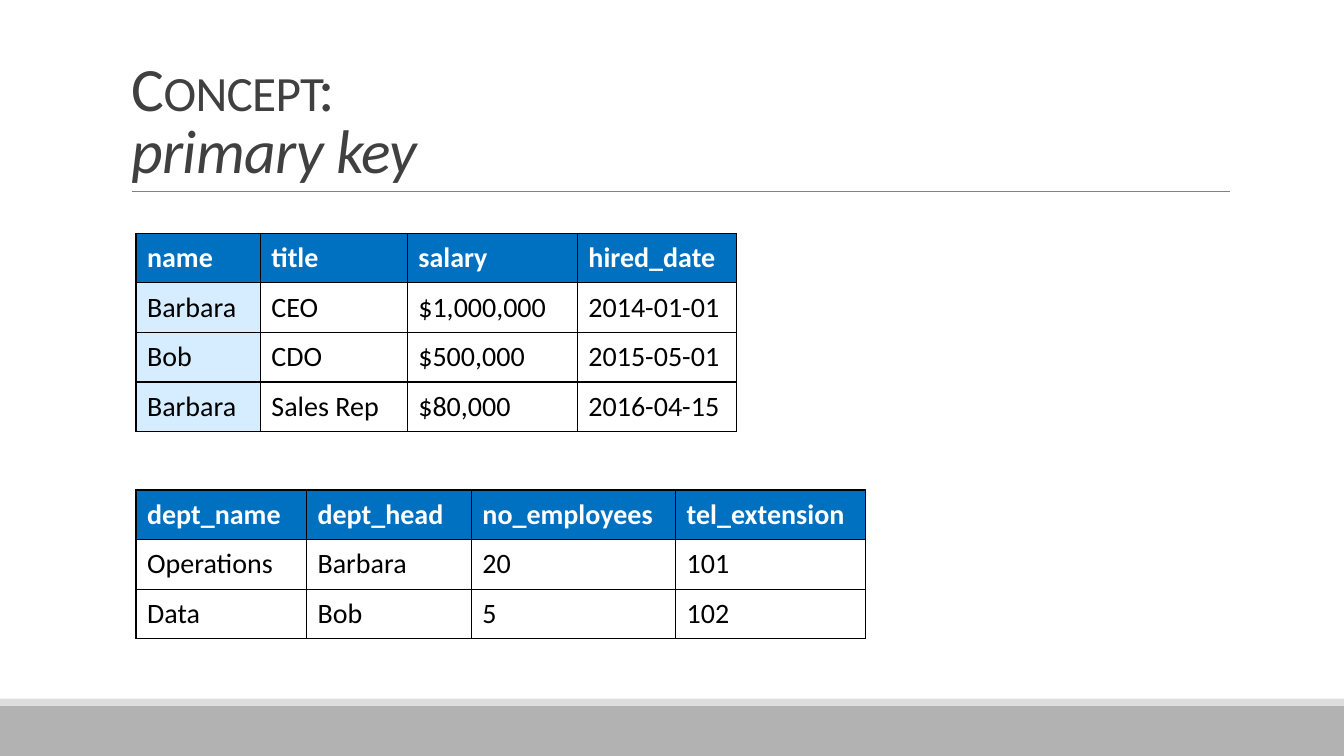
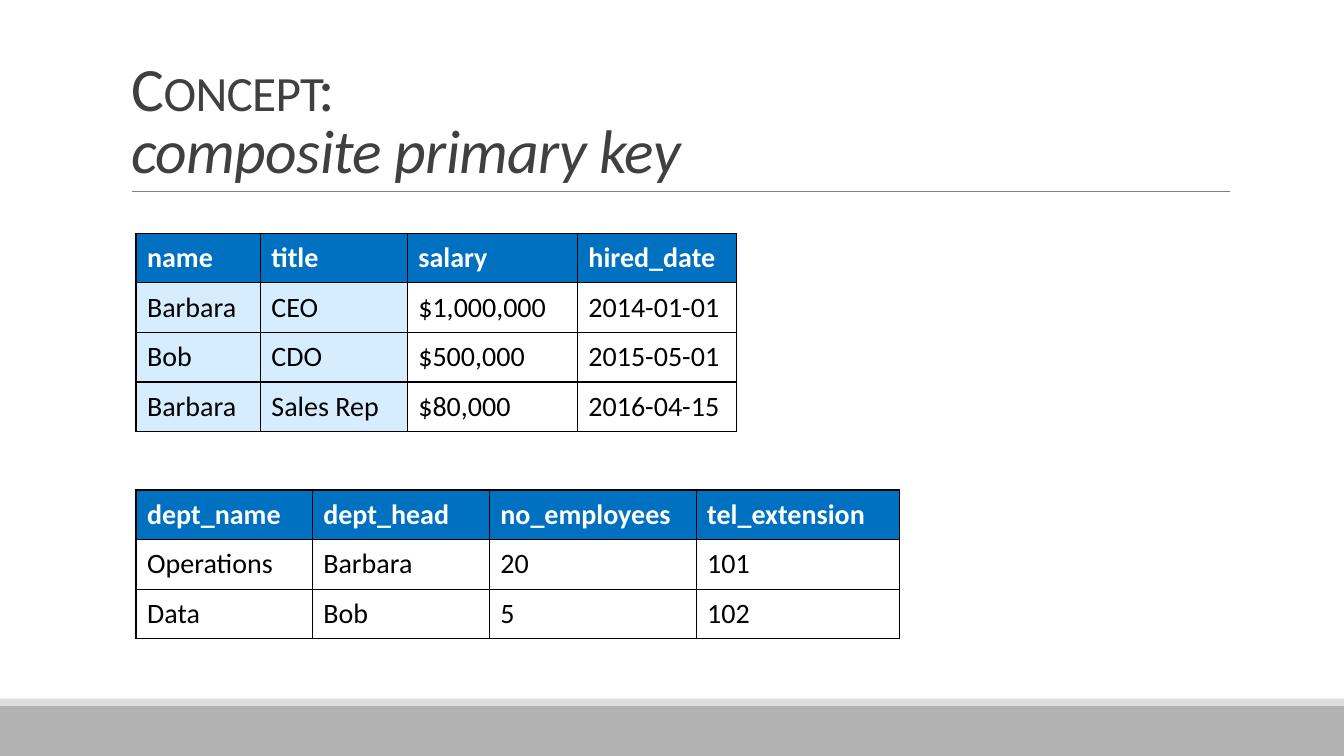
"""Build two slides on primary keys, each with a staff and a department table."""
from dataclasses import dataclass

from lxml.etree import SubElement as Sub
from pptx import Presentation
from pptx.dml.color import RGBColor as Rgb
from pptx.enum.shapes import MSO_CONNECTOR as Link, MSO_SHAPE as Kind
from pptx.enum.text import MSO_ANCHOR as Anchor
from pptx.oxml.ns import qn
from pptx.slide import Slide
from pptx.table import _Cell as Cell
from pptx.util import Pt

FONT = "Calibri"
WIDE, HIGH = 960, 540
LEFT, ROW = 97.2, 35.45
HUES = {
    "band": "B2B2B2",
    "strip": "DDDDDD",
    "rule": "808080",
    "title": "404040",
    "head": "0070C0",
    "key": "D5EDFF",
    "white": "FFFFFF",
    "black": "000000",
}


@dataclass
class Band:
    top: float
    high: float
    hue: str


@dataclass
class Grid:
    top: float
    cols: list[float]
    rows: list[list[str]]
    keys: int = 0


@dataclass
class Page:
    term: str
    grids: list[Grid]


BANDS = [Band(504, 36, "band"), Band(499, 5, "strip")]
STAFF = [
    ["name", "title", "salary", "hired_date"],
    ["Barbara", "CEO", "$1,000,000", "2014-01-01"],
    ["Bob", "CDO", "$500,000", "2015-05-01"],
    ["Barbara", "Sales Rep", "$80,000", "2016-04-15"],
]
DEPTS = [
    ["dept_name", "dept_head", "no_employees", "tel_extension"],
    ["Operations", "Barbara", "20", "101"],
    ["Data", "Bob", "5", "102"],
]


def tint(name: str) -> Rgb:
    return Rgb.from_string(HUES[name])


def staff(keys: int) -> Grid:
    return Grid(166.5, [88.8, 105, 121.5, 113.8], STAFF, keys)


def depts(cols: list[float]) -> Grid:
    return Grid(350, cols, DEPTS)


PAGES = [
    Page("primary key", [staff(1), depts([121.8, 117.8, 145.9, 135.3])]),
    Page("composite primary key", [staff(2), depts([125.9, 126.5, 147.7, 145])]),
]


def add_frame(slide: Slide) -> None:
    for band in BANDS:
        box = slide.shapes.add_shape(
            Kind.RECTANGLE, 0, Pt(band.top), Pt(WIDE), Pt(band.high))
        box.shadow.inherit = False
        box.fill.solid()
        box.fill.fore_color.rgb = tint(band.hue)
        box.line.fill.background()
    rule = slide.shapes.add_connector(
        Link.STRAIGHT, Pt(94.4), Pt(136.6), Pt(878.8), Pt(136.6))
    rule.line.color.rgb = tint("rule")
    rule.line.width = Pt(0.5)
    Sub(rule._element.spPr, qn("a:effectLst"))


def add_title(slide: Slide, term: str) -> None:
    box = slide.shapes.add_textbox(Pt(86.9), Pt(22.5), Pt(792), Pt(114.2))
    frame = box.text_frame
    frame.word_wrap = True
    frame.vertical_anchor = Anchor.BOTTOM
    frame.text = "Concept"
    para = frame.paragraphs[0]
    para.line_spacing = 0.85
    para.add_run().text = ":"
    para.add_line_break()
    para.add_run().text = term
    for run in para.runs:
        run.font.name = FONT
        run.font.size = Pt(44)
        run.font.color.rgb = tint("title")
        run._r.get_or_add_rPr().set("spc", "-50")
    para.runs[0]._r.rPr.set("cap", "small")
    para.runs[-1].font.italic = True


def add_edges(cell: Cell) -> None:
    props = cell._tc.get_or_add_tcPr()
    for side in ("lnL", "lnR", "lnT", "lnB"):
        edge = Sub(props, qn(f"a:{side}"), w=str(Pt(1)))
        fill = Sub(edge, qn("a:solidFill"))
        Sub(fill, qn("a:srgbClr"), val=HUES["black"])


def set_cell(cell: Cell, text: str, head: bool, key: bool) -> None:
    cell.text_frame.text = text
    cell.vertical_anchor = Anchor.MIDDLE
    cell.margin_left = cell.margin_right = Pt(7.9)
    cell.margin_top = cell.margin_bottom = Pt(4)
    font = cell.text_frame.paragraphs[0].runs[0].font
    font.name = FONT
    font.size = Pt(20)
    font.bold = head
    font.color.rgb = tint("white" if head else "black")
    add_edges(cell)
    if head or key:
        cell.fill.solid()
        cell.fill.fore_color.rgb = tint("head" if head else "key")
    else:
        cell.fill.background()


def add_grid(slide: Slide, grid: Grid) -> None:
    count = len(grid.rows)
    table = slide.shapes.add_table(
        count, len(grid.cols), Pt(LEFT), Pt(grid.top),
        Pt(sum(grid.cols)), Pt(count * ROW)).table
    table.first_row = table.horz_banding = False
    for col, width in zip(table.columns, grid.cols):
        col.width = Pt(width)
    for r, texts in enumerate(grid.rows):
        table.rows[r].height = Pt(ROW)
        for c, text in enumerate(texts):
            set_cell(table.cell(r, c), text, r == 0, c < grid.keys)


def main() -> None:
    deck = Presentation()
    deck.slide_width, deck.slide_height = Pt(WIDE), Pt(HIGH)
    for page in PAGES:
        slide = deck.slides.add_slide(deck.slide_layouts[6])
        add_frame(slide)
        for grid in page.grids:
            add_grid(slide, grid)
        add_title(slide, page.term)
    deck.save("out.pptx")


if __name__ == "__main__":
    main()
